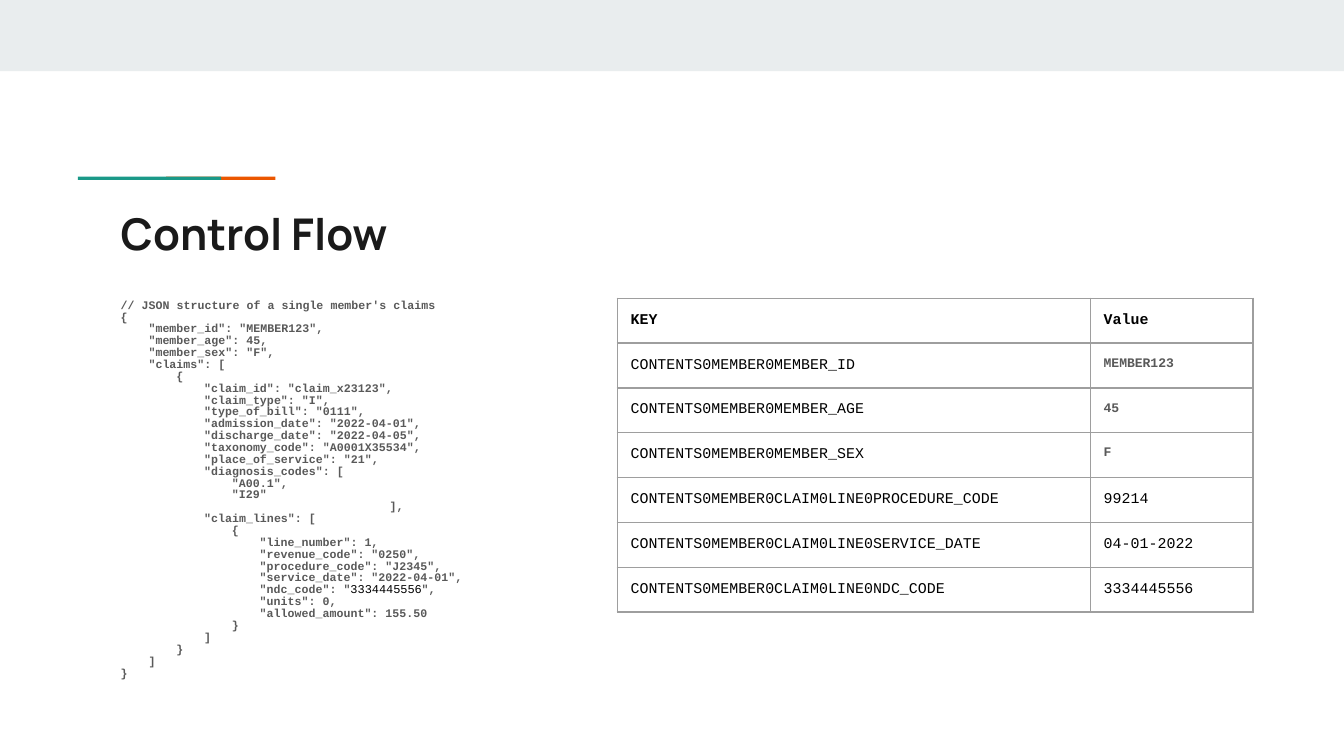
from lxml.etree import SubElement
from pptx import Presentation
from pptx.dml.color import RGBColor
from pptx.enum.shapes import MSO_SHAPE
from pptx.oxml.ns import qn
from pptx.util import Pt

CODE_FONT = "Courier New"
TITLE_FONT = "Manrope"
BLACK, GREY, DARK, BORDER = "000000", "595959", "1A1A1A", "9E9E9E"
GREEN, ORANGE, BAND = "1A9988", "EB5600", "E9EDEE"

HIGHLIGHT = "3334445556"
LEVEL_INDENT = 14.88  # four Courier characters at 6.2 points
TAB_LEVEL = 144 / LEVEL_INDENT

# Nesting level and text of each line
CODE = [
    (0, "// JSON structure of a single member's claims"),
    (0, "{"),
    (1, '"member_id": "MEMBER123",'),
    (1, '"member_age": 45,'),
    (1, '"member_sex": "F",'),
    (1, '"claims": ['),
    (2, "{"),
    (3, '"claim_id": "claim_x23123",'),
    (3, '"claim_type": "I",'),
    (3, '"type_of_bill": "0111",'),
    (3, '"admission_date": "2022-04-01",'),
    (3, '"discharge_date": "2022-04-05",'),
    (3, '"taxonomy_code": "A0001X35534",'),
    (3, '"place_of_service": "21",'),
    (3, '"diagnosis_codes": ['),
    (4, '"A00.1",'),
    (4, '"I29"'),
    (TAB_LEVEL, "],"),
    (3, '"claim_lines": ['),
    (4, "{"),
    (5, '"line_number": 1,'),
    (5, '"revenue_code": "0250",'),
    (5, '"procedure_code": "J2345",'),
    (5, '"service_date": "2022-04-01",'),
    (5, '"ndc_code": "3334445556",'),
    (5, '"units": 0,'),
    (5, '"allowed_amount": 155.50'),
    (4, "}"),
    (3, "]"),
    (2, "}"),
    (1, "]"),
    (0, "}"),
]

ROWS = [
    ("KEY", "Value"),
    ("CONTENTS0MEMBER0MEMBER_ID", "MEMBER123"),
    ("CONTENTS0MEMBER0MEMBER_AGE", "45"),
    ("CONTENTS0MEMBER0MEMBER_SEX", "F"),
    ("CONTENTS0MEMBER0CLAIM0LINE0PROCEDURE_CODE", "99214"),
    ("CONTENTS0MEMBER0CLAIM0LINE0SERVICE_DATE", "04-01-2022"),
    ("CONTENTS0MEMBER0CLAIM0LINE0NDC_CODE", "3334445556"),
]
MEMBER_ROWS = range(1, 4)


def color(hex_string):
    return RGBColor.from_string(hex_string)


class SlideBuilder:
    inset = Pt(7.2)
    code_size = 6.2
    table_size = 8

    def __init__(self, slide):
        self.slide = slide

    def bar(self, left, top, width, height, fill):
        shape = self.slide.shapes.add_shape(
            MSO_SHAPE.RECTANGLE, Pt(left), Pt(top), Pt(width), Pt(height))
        shape.shadow.inherit = False
        shape.fill.solid()
        shape.fill.fore_color.rgb = color(fill)
        shape.line.fill.background()

    def run(self, paragraph, text, size, hex_color, bold=True, font=CODE_FONT):
        run = paragraph.add_run()
        run.text = text
        run.font.name = font
        run.font.size = Pt(size)
        run.font.bold = bold
        run.font.color.rgb = color(hex_color)

    def set_margins(self, holder):
        holder.margin_left = holder.margin_right = self.inset
        holder.margin_top = holder.margin_bottom = self.inset

    def text_frame(self, left, top, width, height):
        box = self.slide.shapes.add_textbox(Pt(left), Pt(top), Pt(width), Pt(height))
        box.text_frame.word_wrap = True
        self.set_margins(box.text_frame)
        return box.text_frame

    def title(self, text, *place):
        frame = self.text_frame(*place)
        self.run(frame.paragraphs[0], text, 23.4, DARK, font=TITLE_FONT)

    def code(self, lines, *place):
        frame = self.text_frame(*place)
        for index, (level, text) in enumerate(lines):
            paragraph = frame.add_paragraph() if index else frame.paragraphs[0]
            paragraph.line_spacing = 0.85
            properties = paragraph._p.get_or_add_pPr()
            properties.set("marL", str(Pt(level * LEVEL_INDENT)))
            properties.set("indent", "0")
            before, value, after = text.partition(HIGHLIGHT)
            self.run(paragraph, before, self.code_size, GREY)
            if value:
                self.run(paragraph, value, 6.4, BLACK, bold=False)
                self.run(paragraph, after, self.code_size, GREY)

    def cell_borders(self, cell):
        properties = cell._tc.get_or_add_tcPr()
        for index, side in enumerate(("lnL", "lnR", "lnT", "lnB")):
            line = properties.makeelement(qn(f"a:{side}"), {"w": str(Pt(0.75))})
            fill = SubElement(line, qn("a:solidFill"))
            SubElement(fill, qn("a:srgbClr"), {"val": BORDER})
            properties.insert(index, line)

    def table(self, rows, left, top, column_widths, row_height):
        table = self.slide.shapes.add_table(
            len(rows), len(column_widths), Pt(left), Pt(top),
            Pt(sum(column_widths)), Pt(row_height * len(rows))).table
        table.first_row = table.horz_banding = False
        for column, width in zip(table.columns, column_widths):
            column.width = Pt(width)
        for row_index, values in enumerate(rows):
            table.rows[row_index].height = Pt(row_height)
            for column_index, text in enumerate(values):
                cell = table.cell(row_index, column_index)
                self.set_margins(cell)
                cell.fill.background()
                self.cell_borders(cell)
                paragraph = cell.text_frame.paragraphs[0]
                if column_index == 1 and row_index in MEMBER_ROWS:
                    self.run(paragraph, text, 7, GREY)
                else:
                    self.run(paragraph, text, self.table_size, BLACK, bold=row_index == 0)


def main():
    presentation = Presentation()
    presentation.slide_width = Pt(720)
    presentation.slide_height = Pt(405)
    builder = SlideBuilder(presentation.slides.add_slide(presentation.slide_layouts[6]))

    # Top band and two-colour accent line
    builder.bar(0, 0, 720, 38.2, BAND)
    builder.bar(89, 94.7, 58.5, 1.7, ORANGE)
    builder.bar(41.8, 94.7, 76.7, 1.7, GREEN)

    # Title and JSON listing
    builder.title("Control Flow", 57.6, 103.7, 605.5, 42.5)
    builder.code(CODE, 57.6, 153.4, 260.6, 241.2)

    # Key and value table
    builder.table(ROWS, 330.6, 159.8, (253.5, 87.2), 23.5)

    presentation.save("out.pptx")


if __name__ == "__main__":
    main()
